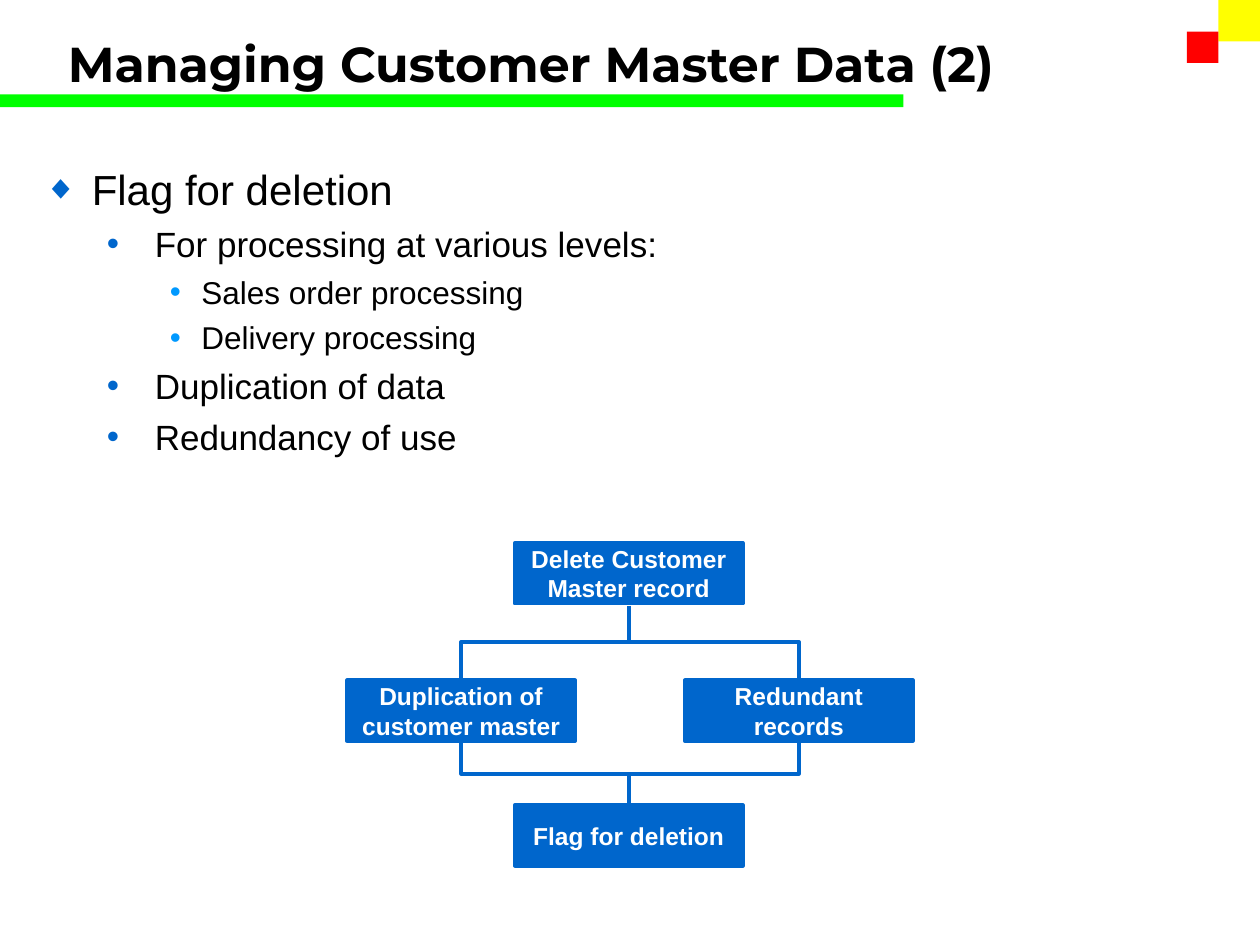
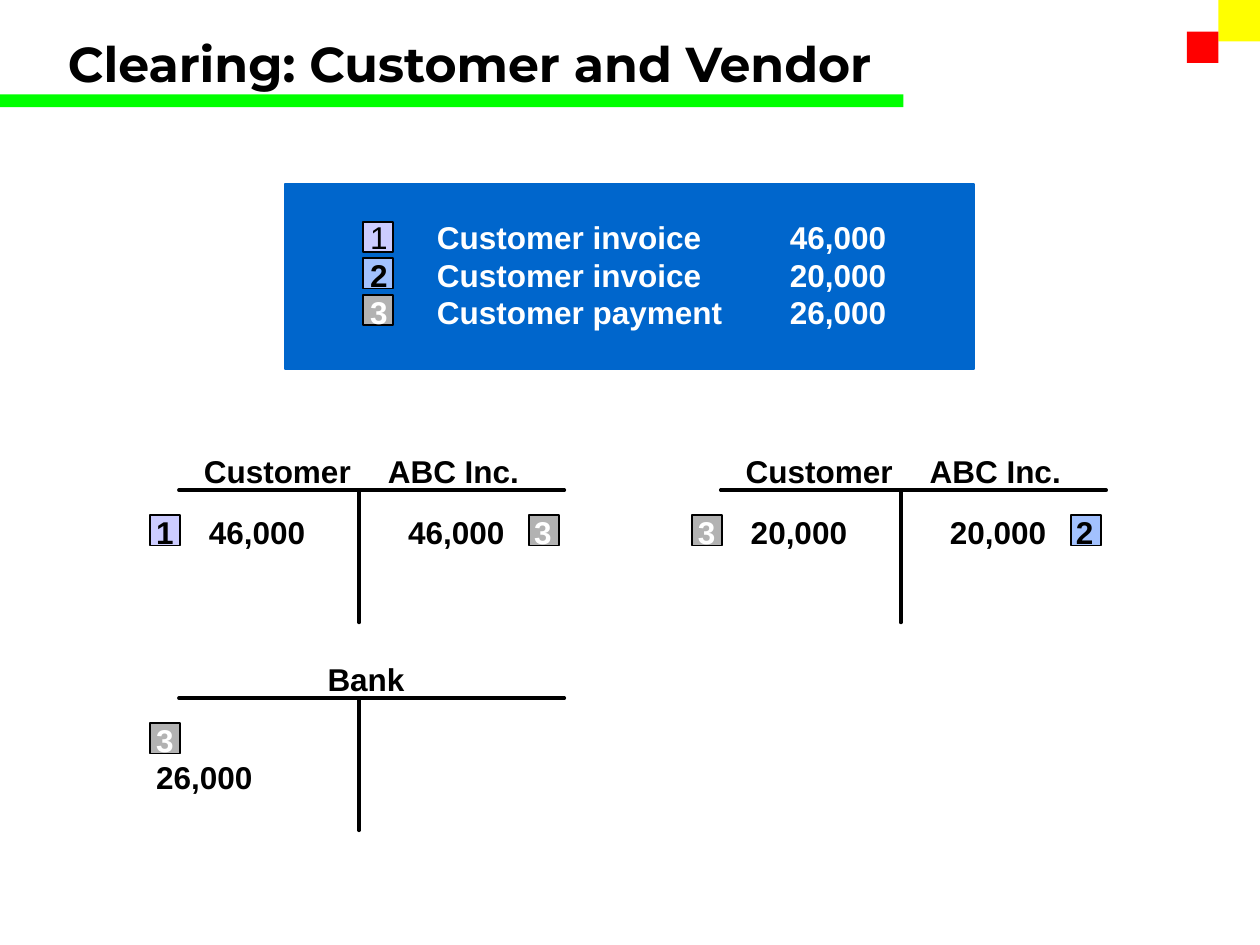
from dataclasses import dataclass

from lxml.etree import SubElement
from pptx import Presentation
from pptx.dml.color import RGBColor
from pptx.enum.shapes import MSO_CONNECTOR as Connector, MSO_SHAPE as Preset
from pptx.enum.text import MSO_ANCHOR as Anchor, MSO_AUTO_SIZE as AutoSize, PP_ALIGN as Align
from pptx.oxml.ns import qn
from pptx.util import Inches, Pt


@dataclass(frozen=True)
class Theme:
    black: str = "000000"
    white: str = "FFFFFF"
    blue: str = "0066CC"
    sky: str = "0099FF"
    green: str = "00FF00"
    yellow: str = "FFFF00"
    red: str = "FF0000"
    lilac: str = "CCCCFF"
    pale_blue: str = "A2C1FE"
    gray: str = "B2B2B2"
    title_font: str = "Montserrat"
    body_font: str = "Arial"
    title_size: float = 28
    entry_size: float = 18
    node_size: float = 14


THEME = Theme()
BADGE_FILLS = {"1": THEME.lilac, "2": THEME.pale_blue, "3": THEME.gray}
NODE_WIDTH, NODE_HEIGHT = 1.81, 0.48

BULLET_LEVELS = [
    {"size": 24, "before": 6, "margin": 0.38, "hang": 0.38, "mark": "◆", "color": THEME.blue, "scale": 80},
    {"size": 20, "before": 5, "margin": 0.88, "hang": 0.38, "mark": "•", "color": THEME.blue, "scale": 100},
    {"size": 18, "before": 4.5, "margin": 1.25, "hang": 0.25, "mark": "•", "color": THEME.sky, "scale": 100},
]


class SlideBuilder:
    def __init__(self, presentation, theme):
        self.presentation = presentation
        self.theme = theme
        self.slide = None

    def new_slide(self, title):
        theme = self.theme
        self.slide = self.presentation.slides.add_slide(self.presentation.slide_layouts[6])
        self.rectangle(0, 0.75, 7.17, 0.1, theme.green)
        self.rectangle(9.67, 0, 0.33, 0.33, theme.yellow)
        self.rectangle(9.42, 0.25, 0.25, 0.25, theme.red)
        frame = self.text_frame(0.44, 0.25, 9.23, 0.5)
        frame.vertical_anchor = Anchor.MIDDLE
        self.run(frame.paragraphs[0], title, theme.title_size, theme.black, True, theme.title_font)

    def rectangle(self, left, top, width, height, fill, line=None, weight=1):
        shape = self.slide.shapes.add_shape(
            Preset.RECTANGLE, Inches(left), Inches(top), Inches(width), Inches(height))
        shape.shadow.inherit = False
        shape.fill.solid()
        shape.fill.fore_color.rgb = RGBColor.from_string(fill)
        if line:
            self.outline(shape, line, weight)
        else:
            shape.line.fill.background()
        return shape

    def outline(self, shape, color, weight):
        shape.line.color.rgb = RGBColor.from_string(color)
        shape.line.width = Pt(weight)

    def text_frame(self, left, top, width, height):
        box = self.slide.shapes.add_textbox(Inches(left), Inches(top), Inches(width), Inches(height))
        box.text_frame.word_wrap = True
        return box.text_frame

    def run(self, paragraph, text, size, color, bold=True, font=None):
        run = paragraph.add_run()
        run.text = text
        run.font.name = font or self.theme.body_font
        run.font.size = Pt(size)
        run.font.bold = bold
        run.font.color.rgb = RGBColor.from_string(color)

    def paragraphs(self, frame, count):
        return [frame.paragraphs[0]] + [frame.add_paragraph() for _ in range(count - 1)]

    def tabbed_text(self, left, top, width, height, rows, tabs=(), align=Align.LEFT):
        frame = self.text_frame(left, top, width, height)
        frame.word_wrap = False
        frame.auto_size = AutoSize.SHAPE_TO_FIT_TEXT
        for paragraph, row in zip(self.paragraphs(frame, len(rows)), rows):
            paragraph.alignment = align
            if tabs:
                tab_list = SubElement(paragraph._p.get_or_add_pPr(), qn("a:tabLst"))
                for position in tabs:
                    SubElement(tab_list, qn("a:tab"), pos=str(Inches(position)), algn="l")
            for text, color, bold in row:
                self.run(paragraph, text, self.theme.entry_size, color, bold)

    def bullets(self, left, top, width, height, items):
        frame = self.text_frame(left, top, width, height)
        for index, (paragraph, (level, text)) in enumerate(zip(self.paragraphs(frame, len(items)), items)):
            style = BULLET_LEVELS[level]
            paragraph.level = level
            properties = paragraph._p.get_or_add_pPr()
            properties.set("marL", str(Inches(style["margin"])))
            properties.set("indent", str(-Inches(style["hang"])))
            color = SubElement(properties, qn("a:buClr"))
            SubElement(color, qn("a:srgbClr"), val=style["color"])
            SubElement(properties, qn("a:buSzPct"), val=str(style["scale"] * 1000))
            SubElement(properties, qn("a:buFont"), typeface=self.theme.body_font)
            SubElement(properties, qn("a:buChar"), char=style["mark"])
            paragraph.space_before = Pt(style["before"] if index else 0)
            self.run(paragraph, text, style["size"], self.theme.black, False)

    def node(self, center, top, lines):
        theme = self.theme
        shape = self.rectangle(center - NODE_WIDTH / 2, top, NODE_WIDTH, NODE_HEIGHT,
                               theme.blue, theme.blue, 2.25)
        frame = shape.text_frame
        frame.word_wrap = False
        frame.vertical_anchor = Anchor.MIDDLE
        for paragraph, line in zip(self.paragraphs(frame, len(lines)), lines):
            paragraph.alignment = Align.CENTER
            self.run(paragraph, line, theme.node_size, theme.white)

    def downward_elbow(self, start_x, start_y, end_x, end_y):
        middle_x, middle_y = (start_x + end_x) / 2, (start_y + end_y) / 2
        half_drop, half_shift = (end_y - start_y) / 2, abs(end_x - start_x) / 2
        to_right = end_x > start_x
        reach = -half_drop if to_right else half_drop
        connector = self.slide.shapes.add_connector(
            Connector.ELBOW,
            Inches(middle_x - reach), Inches(middle_y - half_shift),
            Inches(middle_x + reach), Inches(middle_y + half_shift))
        properties = connector.element.spPr
        quarter_turns = 3 if to_right else 1
        properties.find(qn("a:xfrm")).set("rot", str(quarter_turns * 5400000))
        self.outline(connector, self.theme.blue, 2.25)
        SubElement(properties, qn("a:effectLst"))

    def badge(self, left, top, number):
        self.rectangle(left, top, 0.24, 0.24, BADGE_FILLS[number], self.theme.black)

    def t_lines(self, left, top):
        stem = left + 1.43
        builder = self.slide.shapes.build_freeform(Inches(left), Inches(top))
        corners = [(left + 3.06, top), (stem, top), (stem, top + 1.05)]
        builder.add_line_segments([(Inches(x), Inches(y)) for x, y in corners], close=False)
        shape = builder.convert_to_shape()
        shape.shadow.inherit = False
        shape.fill.background()
        self.outline(shape, self.theme.black, 2)
        line = shape.line._get_or_add_ln()
        line.set("cap", "rnd")
        SubElement(line, qn("a:round"))

    def t_account(self, left, top, debit, credit=None, heading=None):
        theme = self.theme
        self.t_lines(left, top)
        if heading:
            self.tabbed_text(left + 1.08, top - 0.35, 0.81, 0.4,
                             [[(heading, theme.black, True)]], align=Align.CENTER)
        else:
            self.tabbed_text(left + 0.1, top - 0.35, 2.7, 0.4,
                             [[("Customer\tABC Inc.", theme.black, True)]], [1.46])
        number, amount = debit
        self.badge(left - 0.23, top + 0.2, number)
        entry = [(number + "\t", self.number_color(number), True), (amount, theme.black, True)]
        if credit:
            number, amount = credit
            self.badge(left + 2.78, top + 0.2, number)
            entry += [("\t" + amount + "\t", theme.black, True), (number, self.number_color(number), True)]
        self.tabbed_text(left - 0.28, top + 0.13, 3.34 if credit else 1.38, 0.4, [entry], [0.42, 1, 2, 3])

    def number_color(self, number):
        return self.theme.white if number == "3" else self.theme.black


def build_deletion_slide(builder):
    builder.new_slide("Managing Customer Master Data (2)")
    builder.bullets(0.25, 1.25, 9.42, 2.5, [
        (0, "Flag for deletion"),
        (1, "For processing at various levels:"),
        (2, "Sales order processing"),
        (2, "Delivery processing"),
        (1, "Duplication of data"),
        (1, "Redundancy of use"),
    ])
    center, reasons = 4.99, (3.66, 6.34)
    for reason in reasons:
        builder.downward_elbow(center, 4.81, reason, 5.38)
        builder.downward_elbow(reason, 5.9, center, 6.38)
    builder.node(center, 4.31, ["Delete Customer", "Master record"])
    builder.node(reasons[0], 5.4, ["Duplication of", "customer master"])
    builder.node(reasons[1], 5.4, ["Redundant", "records"])
    builder.node(center, 6.39, ["Flag for deletion"])


def build_clearing_slide(builder):
    theme = builder.theme
    builder.new_slide("Clearing: Customer and Vendor")
    builder.rectangle(2.26, 1.46, 5.47, 1.47, theme.blue, theme.blue)
    postings = [
        ("1", "Customer invoice\t46,000"),
        ("2", "Customer invoice\t20,000"),
        ("3", "Customer payment\t26,000"),
    ]
    rows = []
    for index, (number, posting) in enumerate(postings):
        builder.badge(2.88, 1.76 + 0.29 * index, number)
        rows.append([(number + "\t", builder.number_color(number), number != "1"),
                     (posting, theme.white, True)])
    builder.tabbed_text(2.84, 1.68, 4.3, 1, rows, [0.53, 3.33])
    builder.t_account(1.42, 3.89, ("1", "46,000"), ("3", "46,000"))
    builder.t_account(5.72, 3.89, ("3", "20,000"), ("2", "20,000"))
    builder.t_account(1.42, 5.54, ("3", "26,000"), heading="Bank")


def main():
    presentation = Presentation()
    presentation.slide_width = Inches(10)
    presentation.slide_height = Inches(7.5)
    builder = SlideBuilder(presentation, THEME)
    build_deletion_slide(builder)
    build_clearing_slide(builder)
    presentation.save("out.pptx")


if __name__ == "__main__":
    main()
